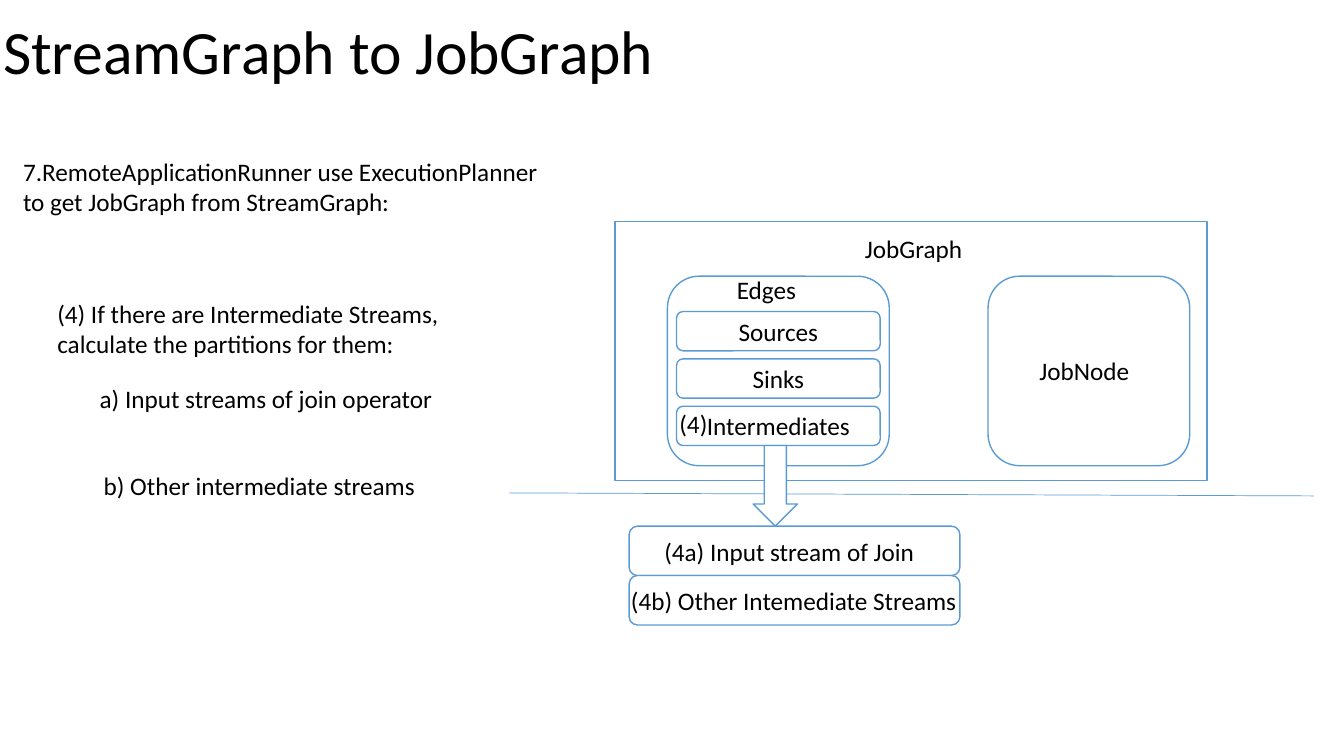
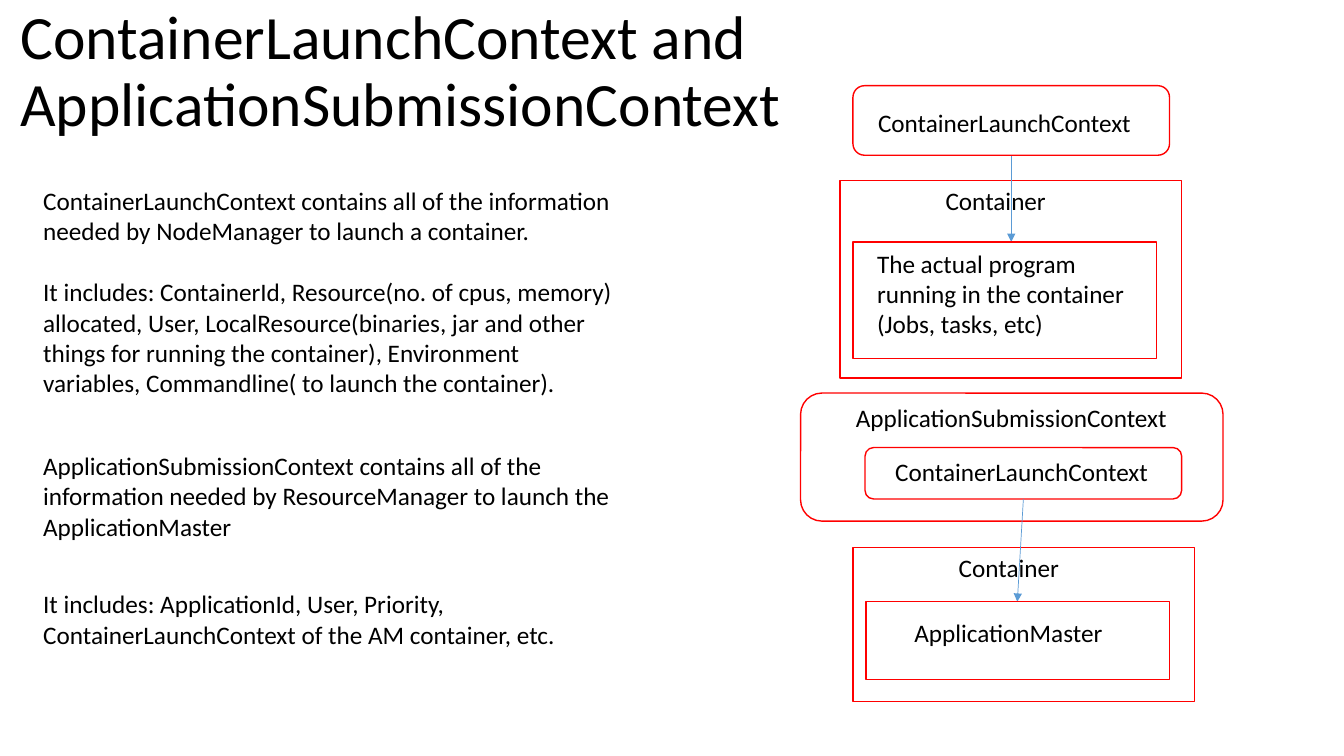
from lxml import etree
from pptx import Presentation
from pptx.dml.color import RGBColor
from pptx.enum.shapes import MSO_CONNECTOR, MSO_SHAPE
from pptx.enum.text import MSO_ANCHOR, MSO_AUTO_SIZE, PP_ALIGN
from pptx.oxml.ns import qn
from pptx.util import Inches, Pt

BLACK = RGBColor(0x00, 0x00, 0x00)
WHITE = RGBColor(0xFF, 0xFF, 0xFF)
BLUE = RGBColor(0x5B, 0x9B, 0xD5)
RED = RGBColor(0xFF, 0x00, 0x00)

RECT = MSO_SHAPE.RECTANGLE
ROUND = MSO_SHAPE.ROUNDED_RECTANGLE
DOWN_ARROW = MSO_SHAPE.DOWN_ARROW
STRAIGHT = MSO_CONNECTOR.STRAIGHT
MIDDLE = MSO_ANCHOR.MIDDLE
TOP = MSO_ANCHOR.TOP
LEFT = PP_ALIGN.LEFT
CENTER = PP_ALIGN.CENTER
NO_FIT = MSO_AUTO_SIZE.NONE

BODY = {"name": "Calibri", "size": Pt(18)}
TITLE = {"name": "Calibri", "size": Pt(44)}
LINE_H = 0.4  # height of a one-line label
TITLE_W, TITLE_H = 11.5, 1.45


def write(tf, paragraphs, style, align=LEFT, anchor=TOP, gap=0):
    """Fill a text frame; gap is the space in points between paragraphs."""
    tf.word_wrap = True
    tf.auto_size = NO_FIT
    tf.vertical_anchor = anchor
    for i, text in enumerate(paragraphs):
        p = tf.paragraphs[0] if i == 0 else tf.add_paragraph()
        p.alignment = align
        if i:
            p.space_before = Pt(gap)
        r = p.add_run()
        r.text = text
        for key, value in style.items():
            setattr(r.font, key, value)
        r.font.color.rgb = BLACK


def add_title_slide(prs, text, x, y):
    s = prs.slides.add_slide(prs.slide_layouts[5])
    title = s.shapes.title
    title.left, title.top = Inches(x), Inches(y)
    title.width, title.height = Inches(TITLE_W), Inches(TITLE_H)
    write(title.text_frame, [text], TITLE, anchor=MIDDLE)
    title.text_frame.paragraphs[0].line_spacing = 0.9
    return s


def add_text(s, x, y, w, *paragraphs, h=LINE_H, gap=0):
    box = s.shapes.add_textbox(Inches(x), Inches(y), Inches(w), Inches(h))
    write(box.text_frame, paragraphs, BODY, gap=gap)


def add_box(s, kind, x, y, w, h, color, text=None):
    sp = s.shapes.add_shape(kind, Inches(x), Inches(y), Inches(w), Inches(h))
    sp.shadow.inherit = False
    sp.fill.solid()
    sp.fill.fore_color.rgb = WHITE
    sp.line.color.rgb = color
    sp.line.width = Pt(1)
    if text:
        write(sp.text_frame, [text], BODY, CENTER, MIDDLE)


def add_line(s, x1, y1, x2, y2, arrow=False):
    line = s.shapes.add_connector(
        STRAIGHT, Inches(x1), Inches(y1), Inches(x2), Inches(y2))
    line.line.color.rgb = BLUE
    line.line.width = Pt(0.5)
    if arrow:
        etree.SubElement(line.line._get_or_add_ln(), qn("a:tailEnd"), type="triangle")
    etree.SubElement(line._element.spPr, qn("a:effectLst"))


def draw_edges(s, x, y):
    add_box(s, ROUND, x, y, 2.2, 1.88, BLUE)
    add_text(s, x + 0.59, y - 0.07, 1.17, "Edges")
    for i, name in enumerate(["Sources", "Sinks", "Intermediates"]):
        add_box(s, ROUND, x + 0.09, y + 0.35 + 0.47 * i, 2.02, 0.39, BLUE, name)
    add_text(s, x + 0.02, y + 1.26, 0.57, "(4)")


def draw_job_graph(s, x, y):
    add_box(s, RECT, x, y, 5.87, 2.57, BLUE)
    add_text(s, x + 2.38, y + 0.07, 2.22, "JobGraph")
    add_box(s, ROUND, x + 3.7, y + 0.54, 2, 1.88, BLUE)
    add_text(s, x + 4.11, y + 1.28, 1.59, "JobNode")
    draw_edges(s, x + 0.52, y + 0.54)


def draw_intermediates(s, x, y):
    """Two stacked stream boxes with the arrow that leads down to them."""
    add_box(s, DOWN_ARROW, x + 1.23, y - 0.8, 0.44, 0.8, BLUE)
    rows = [("(4a) Input stream of Join", 0.25, 2.78),
            ("(4b) Other Intemediate Streams", -0.08, 3.6)]
    for i, (text, dx, w) in enumerate(rows):
        top = y + 0.49 * i
        add_box(s, ROUND, x, top, 3.28, 0.49, BLUE)
        add_text(s, x + dx, top + 0.05, w, text)


def draw_launch_context(s, x, y, h, dx, dy):
    add_box(s, ROUND, x, y, 3.14, h, RED)
    add_text(s, x + dx, y + dy, 2.75, "ContainerLaunchContext")


def draw_container(s, x, y, h, program, text, arrow):
    """Container at x, y; program is the inner box's top and height,
    text its offset, height and wording, arrow its start and end."""
    inner_y, inner_h = program
    dx, dy, text_h, wording = text
    (x1, y1), x2 = arrow
    add_box(s, RECT, x, y, 3.39, h, RED)
    add_text(s, x + 0.95, y, 2.44, "Container")
    add_line(s, x + x1, y + y1, x + x2, y + inner_y, arrow=True)
    add_box(s, RECT, x + 0.13, y + inner_y, 3.01, inner_h, RED)
    add_text(s, x + 0.13 + dx, y + inner_y + dy, 2.88, wording, h=text_h)


def build_job_graph_slide(prs):
    s = add_title_slide(prs, "StreamGraph to JobGraph", -0.07, -0.18)
    add_text(s, 0.13, 1.5, 5.42,
             "7.RemoteApplicationRunner use ExecutionPlanner to get JobGraph "
             "from StreamGraph:", h=0.71)
    add_text(s, 0.47, 2.91, 4.33,
             "(4) If there are Intermediate Streams, calculate the partitions "
             "for them:", h=0.71)
    add_text(s, 0.89, 3.75, 3.79, "a) Input streams of join operator")
    add_text(s, 0.93, 4.62, 3.52, "b) Other intermediate streams")
    draw_job_graph(s, 6.1, 2.2)
    add_line(s, 5.05, 4.89, 13.03, 4.92)
    draw_intermediates(s, 6.24, 5.22)


def build_context_slide(prs):
    s = add_title_slide(
        prs, "ContainerLaunchContext and ApplicationSubmissionContext", 0.1, 0)
    add_text(s, 0.33, 1.79, 5.84,
             "ContainerLaunchContext contains all of the information needed by "
             "NodeManager to launch a container.",
             "It includes: ContainerId, Resource(no. of cpus, memory) allocated, "
             "User, LocalResource(binaries, jar and other things for running the "
             "container), Environment variables, Commandline( to launch the "
             "container).", h=2.22, gap=22)
    add_text(s, 0.33, 4.42, 6.36,
             "ApplicationSubmissionContext contains all of the information needed "
             "by ResourceManager to launch the ApplicationMaster", h=1.01)
    add_text(s, 0.33, 5.79, 6.21,
             "It includes: ApplicationId, User, Priority, ContainerLaunchContext "
             "of the AM container, etc.", h=0.71)

    draw_launch_context(s, 8.46, 0.85, 0.69, 0.15, 0.17)
    draw_container(
        s, 8.33, 1.79, 1.96, (0.61, 1.16),
        (0.14, 0.01, 1.01,
         "The actual program running in the container (Jobs, tasks, etc)"),
        ((1.7, -0.24), 1.7))

    add_box(s, ROUND, 7.94, 3.9, 4.19, 1.27, RED)
    add_text(s, 8.39, 3.94, 3.46, "ApplicationSubmissionContext")
    draw_launch_context(s, 8.58, 4.44, 0.51, 0.2, 0.04)
    draw_container(
        s, 8.46, 5.43, 1.53, (0.54, 0.77),
        (0.38, 0.11, LINE_H, "ApplicationMaster"),
        ((1.69, -0.48), 1.63))


def main():
    prs = Presentation()
    prs.slide_width, prs.slide_height = Inches(13.33), Inches(7.5)
    build_job_graph_slide(prs)
    build_context_slide(prs)
    prs.save("out.pptx")


if __name__ == "__main__":
    main()
